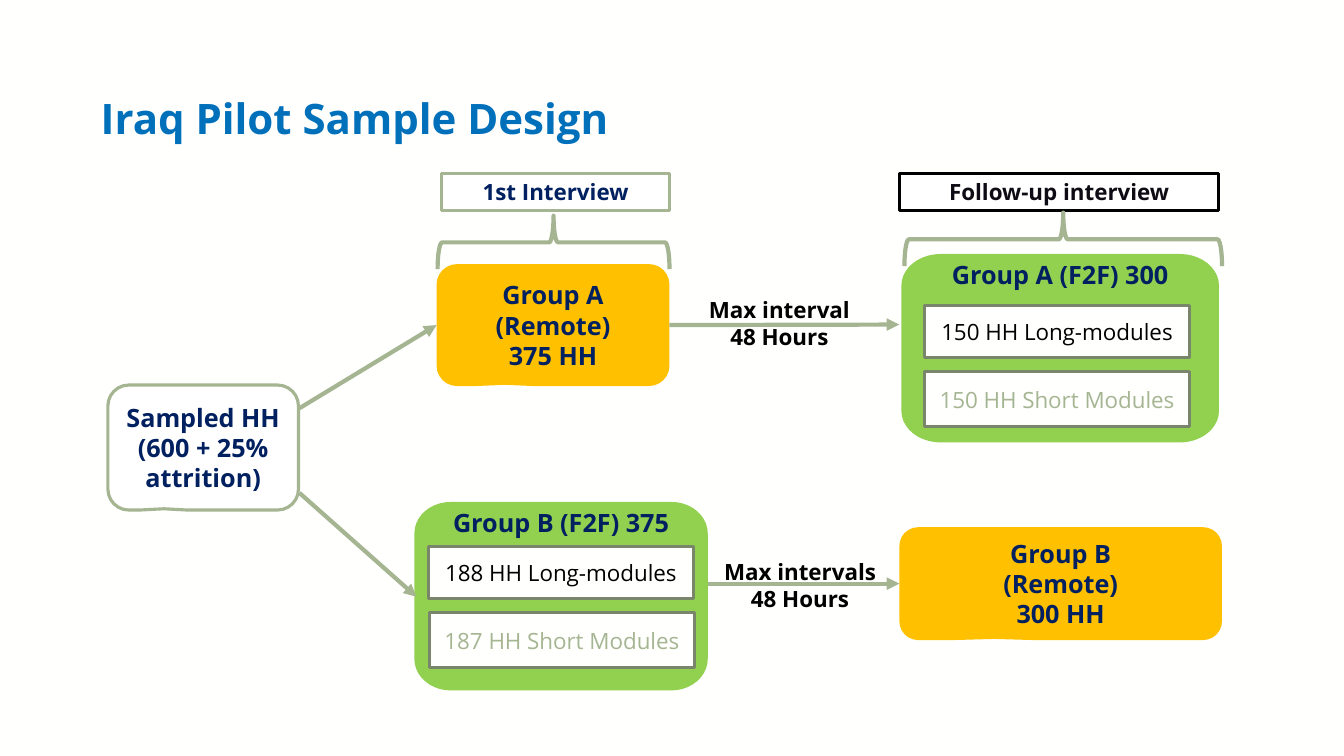
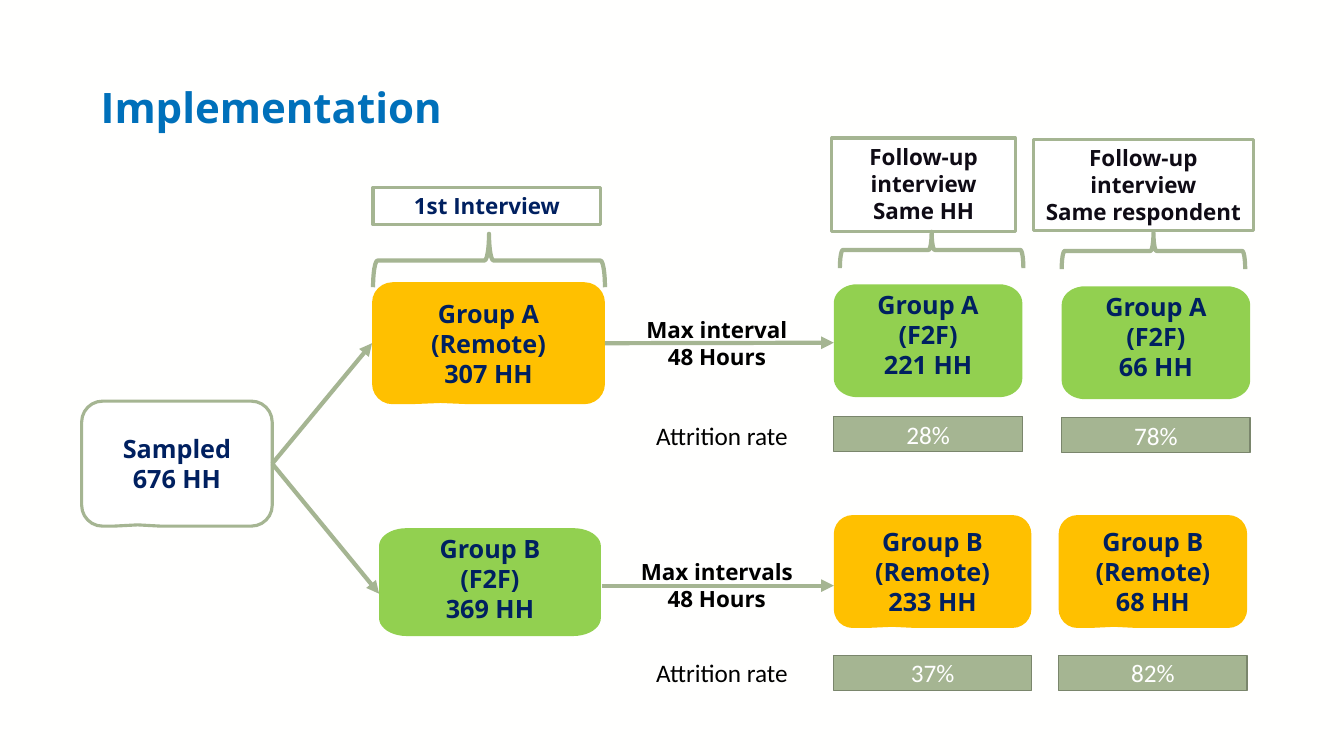
from math import cos, radians, sin

from lxml.etree import SubElement
from pptx import Presentation
from pptx.dml.color import RGBColor
from pptx.enum.shapes import MSO_CONNECTOR, MSO_SHAPE
from pptx.enum.text import MSO_ANCHOR, PP_ALIGN
from pptx.oxml.ns import qn
from pptx.util import Inches, Pt

COLORS = {
    "page": "FFFFFE", "white": "FFFFFF", "black": "000000", "ink": "0F0B15",
    "navy": "002060", "blue": "0070BA", "sage": "A5B592", "moss": "7A866C",
    "gold": "FFC000", "green": "92D050",
}

TITLE = {"name": "Open Sans", "size": Pt(30), "bold": True}
GROUP = {"name": "Open Sans", "size": Pt(18), "bold": True}
LABEL = {"name": "Open Sans", "size": Pt(16), "bold": True}
PLAIN = {"name": "Open Sans", "size": Pt(16), "bold": False}
RATE = {"name": "Calibri", "size": Pt(18), "bold": False}

TOP, MID = MSO_ANCHOR.TOP, MSO_ANCHOR.MIDDLE
LEFT, CENTER = PP_ALIGN.LEFT, PP_ALIGN.CENTER
WAVE, RECT = MSO_SHAPE.ROUNDED_RECTANGULAR_CALLOUT, MSO_SHAPE.RECTANGLE

# form, fill, line, weight, font, text colour, anchor, alignment
STYLES = {
    "title": ("text", None, None, 0, TITLE, "blue", MID, LEFT),
    "sample": (WAVE, "white", "sage", 2.25, GROUP, "navy", MID, CENTER),
    "remote": (WAVE, "gold", None, 0, GROUP, "navy", MID, CENTER),
    "visit": ("soft", "green", None, 0, GROUP, "navy", TOP, CENTER),
    "first": (RECT, "white", "sage", 2.25, LABEL, "navy", TOP, CENTER),
    "follow": (RECT, "white", "sage", 2.25, LABEL, "ink", TOP, CENTER),
    "final": (RECT, "white", "black", 2.25, LABEL, "ink", TOP, CENTER),
    "long": (RECT, "page", "moss", 2.25, PLAIN, "black", MID, CENTER),
    "short": (RECT, "page", "moss", 2.25, PLAIN, "sage", MID, CENTER),
    "rate": (RECT, "sage", "moss", 1, RATE, "white", MID, CENTER),
    "wait": ("text", None, None, 0, LABEL, "black", TOP, CENTER),
    "note": ("text", None, None, 0, RATE, "black", TOP, LEFT),
    "brace": (MSO_SHAPE.LEFT_BRACE, None, "sage", 3, LABEL, "navy", MID, CENTER),
}

# Boxes: key, style, left, top, width, height, text
# Braces: left, top, width, height as seen
# Links: start, end; each a point or a box key with a side
SLIDES = [
    {
        "title": ("Iraq Pilot Sample Design", 0.57),
        "boxes": [
            ("sample", "sample", 1.07, 3.82, 1.89, 1.24,
             "Sampled HH\n(600 + 25% attrition)"),
            ("1st", "first", 4.38, 1.72, 2.26, 0.37, "1st Interview"),
            ("next", "final", 8.92, 1.72, 3.17, 0.37, "Follow-up interview"),
            ("A1", "remote", 4.33, 2.62, 2.31, 1.21, "Group A (Remote)\n375 HH"),
            ("A2", "visit", 8.94, 2.52, 3.15, 1.87, "Group A (F2F) 300"),
            ("A long", "long", 9.17, 3.03, 2.63, 0.52, "150 HH Long-modules"),
            ("A short", "short", 9.17, 3.69, 2.63, 0.54, "150 HH Short Modules"),
            ("B1", "visit", 4.11, 4.98, 2.91, 1.87, "Group B (F2F) 375"),
            ("B long", "long", 4.25, 5.42, 2.63, 0.52, "188 HH Long-modules"),
            ("B short", "short", 4.26, 6.08, 2.63, 0.54, "187 HH Short Modules"),
            ("B2", "remote", 8.92, 5.23, 3.2, 1.12, "Group B\n(Remote)\n300 HH"),
        ],
        "braces": [(4.34, 2.14, 2.3, 0.53), (8.97, 2.11, 3.15, 0.53)],
        "links": [
            ((2.97, 4.05), ("A1", 1)),
            ((2.97, 4.89), (4.13, 5.92)),
            (("A1", 3), (8.92, 3.22)),
            ((7.02, 5.79), ("B2", 1)),
        ],
        "labels": [
            ("wait", 6.89, 2.89, 1.68, 0.64, "Max interval 48 Hours"),
            ("wait", 7.03, 5.49, 1.81, 0.64, "Max intervals 48 Hours"),
        ],
    },
    {
        "title": ("Implementation", 0.46),
        "boxes": [
            ("sample", "sample", 0.81, 3.98, 1.89, 1.24, "Sampled\n676 HH"),
            ("1st", "first", 3.7, 1.86, 2.26, 0.37, "1st Interview"),
            ("home", "follow", 8.25, 1.37, 1.82, 0.93,
             "Follow-up interview\nSame HH"),
            ("same", "follow", 10.25, 1.38, 2.18, 0.91,
             "Follow-up interview\nSame respondent"),
            ("A1", "remote", 3.69, 2.8, 2.31, 1.21, "Group A (Remote)\n307 HH"),
            ("A2", "visit", 8.27, 2.82, 1.87, 1.12, "Group A\n(F2F)\n221 HH"),
            ("A3", "visit", 10.53, 2.84, 1.87, 1.12, "Group A\n(F2F)\n66 HH"),
            ("B1", "visit", 3.76, 5.24, 2.2, 1.07, "Group B\n(F2F)\n369 HH"),
            ("B2", "remote", 8.27, 5.11, 1.96, 1.12, "Group B (Remote)\n233 HH"),
            ("B3", "remote", 10.5, 5.11, 1.87, 1.12, "Group B (Remote)\n68 HH"),
            ("A2 rate", "rate", 8.27, 4.13, 1.87, 0.35, "28%"),
            ("A3 rate", "rate", 10.53, 4.14, 1.87, 0.35, "78%"),
            ("B2 rate", "rate", 8.27, 6.5, 1.96, 0.35, "37%"),
            ("B3 rate", "rate", 10.5, 6.5, 1.87, 0.35, "82%"),
        ],
        "braces": [(3.7, 2.32, 2.3, 0.53), (8.33, 2.3, 1.82, 0.36),
                   (10.53, 2.31, 1.82, 0.36)],
        "links": [
            (("sample", 3), ("A1", 1)),
            (("sample", 3), (3.76, 5.89)),
            (("A1", 3), (8.27, 3.4)),
            ((5.97, 5.81), (8.27, 5.81)),
        ],
        "labels": [
            ("wait", 6.27, 3.09, 1.68, 0.64, "Max interval 48 Hours"),
            ("wait", 6.13, 5.49, 1.96, 0.64, "Max intervals 48 Hours"),
            ("note", 6.41, 4.12, 1.6, 0.4, "Attrition rate"),
            ("note", 6.41, 6.47, 1.68, 0.4, "Attrition rate"),
        ],
    },
]


def tint(name):
    return RGBColor.from_string(COLORS[name])


def put(slide, style, x, y, w, h, text=""):
    """Add one shape or text box in a named style; "soft" has oval corners."""
    form, fill, line, weight, face, ink, anchor, align = STYLES[style]
    area = [Inches(v) for v in (x, y, w, h)]
    if form == "text":
        shape = slide.shapes.add_textbox(*area)
    elif form == "soft":
        rx, ry = w * 0.124, h * 0.167
        dots = []
        for turn, (right, low) in enumerate([(1, 1), (0, 1), (0, 0), (1, 0)]):
            cx = x + w - rx if right else x + rx
            cy = y + h - ry if low else y + ry
            for step in range(11):
                angle = radians(90 * turn + 9 * step)
                dots.append((Inches(cx + rx * cos(angle)),
                             Inches(cy + ry * sin(angle))))
        pen = slide.shapes.build_freeform(*dots[0])
        pen.add_line_segments(dots[1:], close=True)
        shape = pen.convert_to_shape()
    else:
        shape = slide.shapes.add_shape(form, *area)
    if form == WAVE:
        for i, value in enumerate((-0.206, 0.49, 0.167)):
            shape.adjustments[i] = value
    if form != "text":
        shape.shadow.inherit = False
        if fill:
            shape.fill.solid()
            shape.fill.fore_color.rgb = tint(fill)
        else:
            shape.fill.background()
        if line:
            shape.line.color.rgb = tint(line)
            shape.line.width = Pt(weight)
        else:
            shape.line.fill.background()
    if text:
        frame = shape.text_frame
        frame.word_wrap = True
        frame.vertical_anchor = anchor
        frame.text = text
        for para in frame.paragraphs:
            para.alignment = align
            for run in para.runs:
                for key, value in face.items():
                    setattr(run.font, key, value)
                run.font.color.rgb = tint(ink)
    return shape


prs = Presentation()
prs.slide_width, prs.slide_height = Inches(13.33), Inches(7.5)
back = prs.slide_master.background.fill
back.solid()
back.fore_color.rgb = tint("page")

for plan in SLIDES:
    slide = prs.slides.add_slide(prs.slide_layouts[6])
    text, top = plan["title"]
    title = put(slide, "title", 0.9, top, 11.53, 1.26, text)
    title.text_frame.paragraphs[0].line_spacing = 0.9

    boxes = {key: put(slide, *rest) for key, *rest in plan["boxes"]}

    for x, y, w, h in plan["braces"]:
        # A turned shape is placed by its unturned frame, round the same centre
        brace = put(slide, "brace", x + (w - h) / 2, y + (h - w) / 2, h, w)
        brace.rotation = 90

    for ends in plan["links"]:
        spots = [(0, 0) if end[0] in boxes else end for end in ends]
        link = slide.shapes.add_connector(
            MSO_CONNECTOR.STRAIGHT, *[Inches(v) for spot in spots for v in spot])
        for end, join in zip(ends, (link.begin_connect, link.end_connect)):
            if end[0] in boxes:
                join(boxes[end[0]], end[1])
        link.line.color.rgb = tint("sage")
        link.line.width = Pt(3)
        SubElement(link.line._get_or_add_ln(), qn("a:tailEnd"), type="triangle")
        SubElement(link._element.spPr, qn("a:effectLst"))

    for label in plan["labels"]:
        put(slide, *label)

prs.save("out.pptx")
